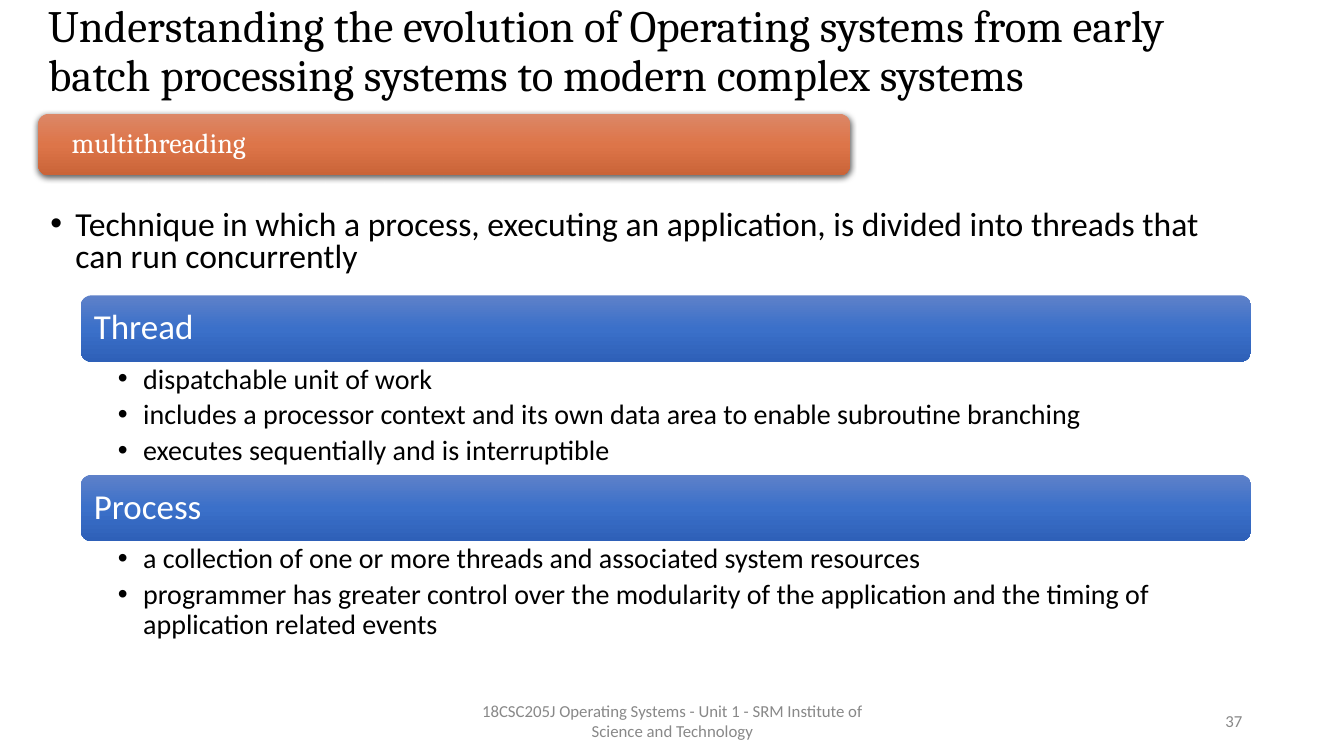
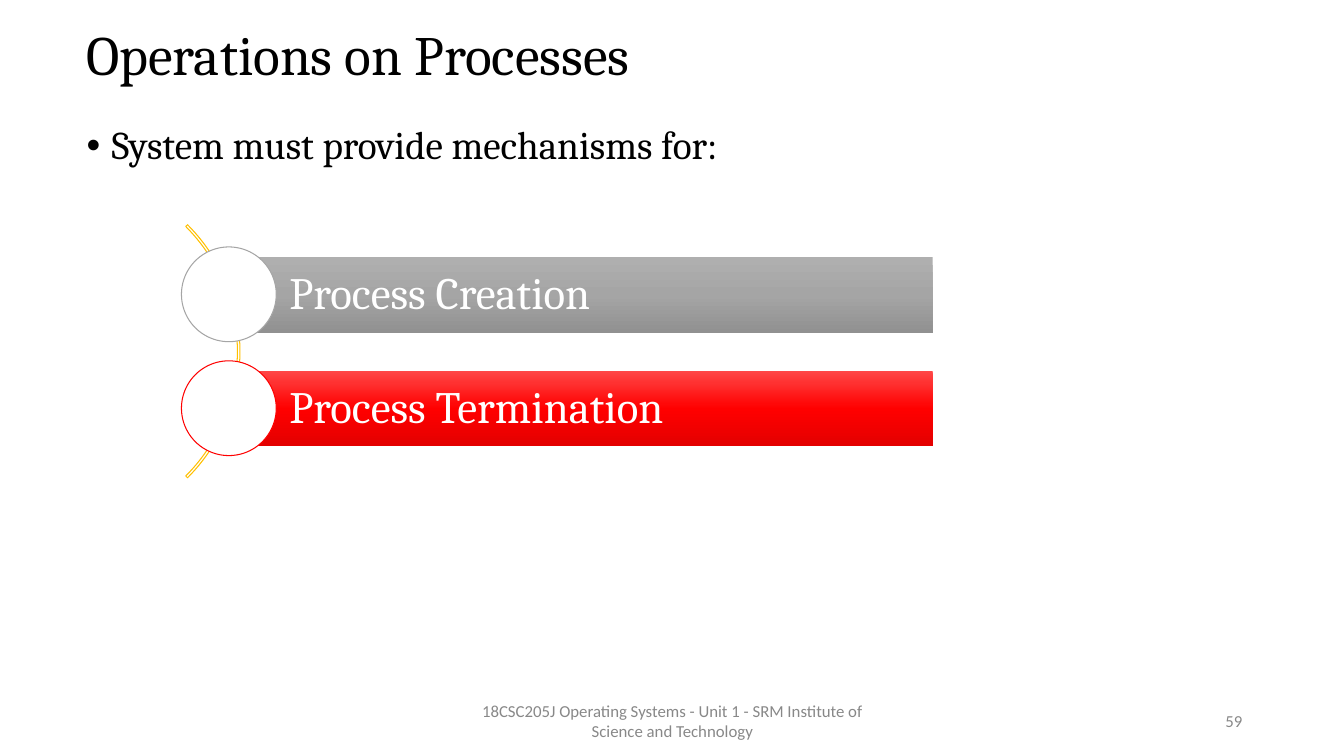
"""Build two slides on threads and process operations."""
from pptx import Presentation, util as u
from pptx.dml.color import RGBColor
from pptx.enum import shapes, text
from pptx.oxml import parse_xml
from pptx.oxml.ns import nsdecls, qn

PX = 9144
WIDE, HIGH = 1333, 750
BLACK, WHITE, GREY = "000000", "FFFFFF", "888888"
HEAD, BODY = "Cambria", "Calibri"
BLUE = ["5E81C9", "3B70C9", "2E60B8"]
ORANGE = ["DC8767", "DD7549", "CA6438"]
SILVER = ["AFAFAF", "A5A5A5", "919191"]
RED = ["FF4747", "FF0000", "E30000"]
FOOTER = "18CSC205J Operating Systems - Unit 1 - SRM Institute of Science and Technology"
KIND = shapes.MSO_SHAPE
MID, TOP = text.MSO_ANCHOR.MIDDLE, text.MSO_ANCHOR.TOP
LEFT, MIDST, RIGHT = text.PP_ALIGN.LEFT, text.PP_ALIGN.CENTER, text.PP_ALIGN.RIGHT
rgb = RGBColor.from_string


def draw(slide, kind, at, fill=None, line=None):
    """Add a preset shape with a plain fill, a three-stop gradient or none."""
    shape = slide.shapes.add_shape(kind, *[n * PX for n in at])
    shape.shadow.inherit = False
    if isinstance(fill, list):
        shape.fill.gradient()
        shape.fill.gradient_angle = 270
        grad = shape._element.spPr.find(qn("a:gradFill"))
        stops = "".join(
            f'<a:gs pos="{i * 50000}"><a:srgbClr val="{tint}"/></a:gs>'
            for i, tint in enumerate(fill))
        grad.replace(grad.find(qn("a:gsLst")),
                     parse_xml(f'<a:gsLst {nsdecls("a")}>{stops}</a:gsLst>'))
    elif fill:
        shape.fill.solid()
        shape.fill.fore_color.rgb = rgb(fill)
    else:
        shape.fill.background()
    if line:
        shape.line.color.rgb = rgb(line)
        shape.line.width = u.Pt(0.75)
    else:
        shape.line.fill.background()
    return shape


def write(shape, lines, size, face, tint=BLACK, inset=(10, 5, 10, 5),
          anchor=MID, align=LEFT, lead=0.9, dots=False):
    """Fill a shape or text box with evenly styled paragraphs."""
    frame = shape.text_frame
    frame.word_wrap = True
    frame.vertical_anchor = anchor
    (frame.margin_left, frame.margin_top,
     frame.margin_right, frame.margin_bottom) = [n * PX for n in inset]
    for i, line in enumerate(lines):
        para = frame.paragraphs[0] if i == 0 else frame.add_paragraph()
        para.text = line
        if dots:
            props = para._p.get_or_add_pPr()
            props.set("marL", str(25 * PX))
            props.set("indent", str(-25 * PX))
            for tag in (f'<a:buClr {nsdecls("a")}><a:srgbClr val="{BLACK}"/></a:buClr>',
                        f'<a:buFont {nsdecls("a")} typeface="Arial"/>',
                        f'<a:buChar {nsdecls("a")} char="•"/>'):
                props.append(parse_xml(tag))
        para.alignment = align
        para.line_spacing = lead
        if i:
            para.space_before = u.Pt(4)
        para.font.size = u.Pt(size)
        para.font.name = face
        para.font.color.rgb = rgb(tint)


deck = Presentation()
deck.slide_width, deck.slide_height = WIDE * PX, HIGH * PX
pages = [
    ("Understanding the evolution of Operating systems from early "
     "batch processing systems to modern complex systems",
     (38, 11, 1150, 82), 32, "37"),
    ("Operations on Processes", (76, 26, 900, 63), 39.6, "59"),
]
slides = []
for title, at, size, num in pages:
    slide = deck.slides.add_slide(deck.slide_layouts[6])
    slides.append(slide)
    for line, spot, pt, face, tint, align, lead in (
            (title, at, size, HEAD, BLACK, LEFT, 0.9),
            (FOOTER, (442, 695, 450, 40), 12, BODY, GREY, MIDST, 1.0),
            (num, (942, 695, 300, 40), 12, BODY, GREY, RIGHT, 1.0)):
        box = slide.shapes.add_textbox(*[n * PX for n in spot])
        write(box, [line], pt, face, tint, align=align, lead=lead)
thread, ops = slides

band = draw(thread, KIND.ROUNDED_RECTANGLE, (38, 113, 805, 61), ORANGE)
band._element.spPr.find(qn("a:effectLst")).append(parse_xml(
    f'<a:outerShdw {nsdecls("a")} blurRad="57150" dist="19050" dir="5400000" '
    f'algn="ctr" rotWithShape="0"><a:srgbClr val="{BLACK}">'
    '<a:alpha val="63000"/></a:srgbClr></a:outerShdw>'))
write(band, ["multithreading"], 20, HEAD, WHITE, inset=(30, 0, 30, 0))

intro = thread.shapes.add_textbox(40 * PX, 204 * PX, 1201 * PX, 80 * PX)
write(intro, ["Technique in which a process, executing an application, "
              "is divided into threads that can run concurrently"],
      24, BODY, anchor=TOP, lead=0.8, dots=True)

terms = [
    ("Thread", ["dispatchable unit of work",
                "includes a processor context and its own data area "
                "to enable subroutine branching",
                "executes sequentially and is interruptible"]),
    ("Process", ["a collection of one or more threads and associated system resources",
                 "programmer has greater control over the modularity of the "
                 "application and the timing of application related events"]),
]
for i, (term, facts) in enumerate(terms):
    top = 293 + i * 178
    bar = draw(thread, KIND.ROUNDED_RECTANGLE, (80, top, 1161, 66), BLUE)
    write(bar, [term], 25, BODY, WHITE, inset=(10, 10, 10, 10))
    box = thread.shapes.add_textbox(80 * PX, (top + 66) * PX, 1161 * PX, 112 * PX)
    write(box, facts, 20, BODY, inset=(37, 3, 19, 3), anchor=TOP, dots=True)

lead_in = ops.shapes.add_textbox(76 * PX, 120 * PX, 818 * PX, 60 * PX)
write(lead_in, ["System must provide mechanisms for:"], 28, HEAD, anchor=TOP, dots=True)

arc = draw(ops, KIND.BLOCK_ARC, (-117, 171, 355, 355), line="FFC000")
for i, value in enumerate((189, 27, 0.007)):
    arc.adjustments[i] = value

steps = [("Process Creation", SILVER, "A5A5A5"), ("Process Termination", RED, "FE0000")]
for i, (step, fill, edge) in enumerate(steps):
    top = 255 + i * 113
    bar = draw(ops, KIND.RECTANGLE, (227, top, 698, 75), fill)
    write(bar, [step], 32, HEAD, WHITE, inset=(60, 9, 9, 9))
    draw(ops, KIND.OVAL, (180, top - 10, 94, 94), WHITE, edge)

deck.save("out.pptx")
